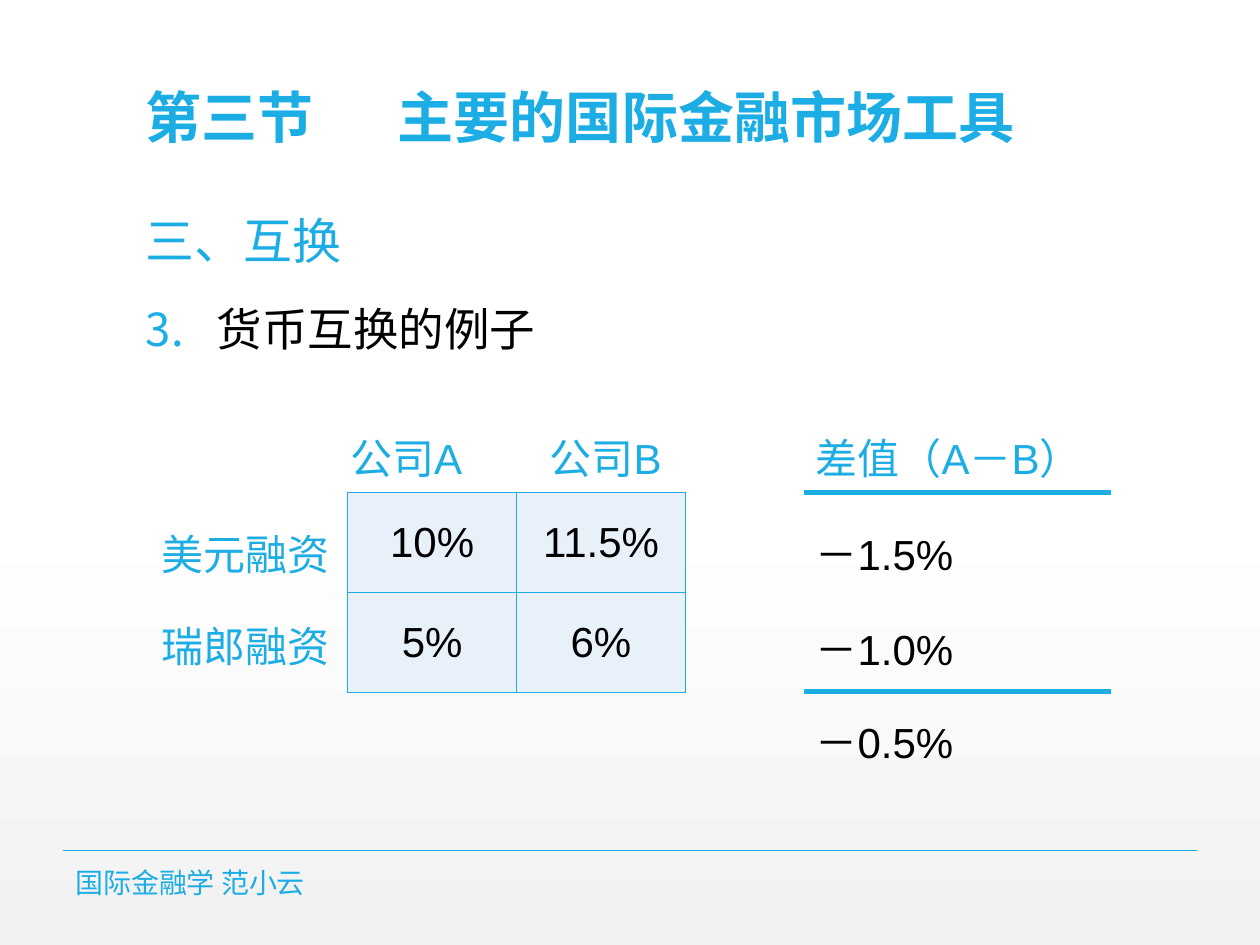
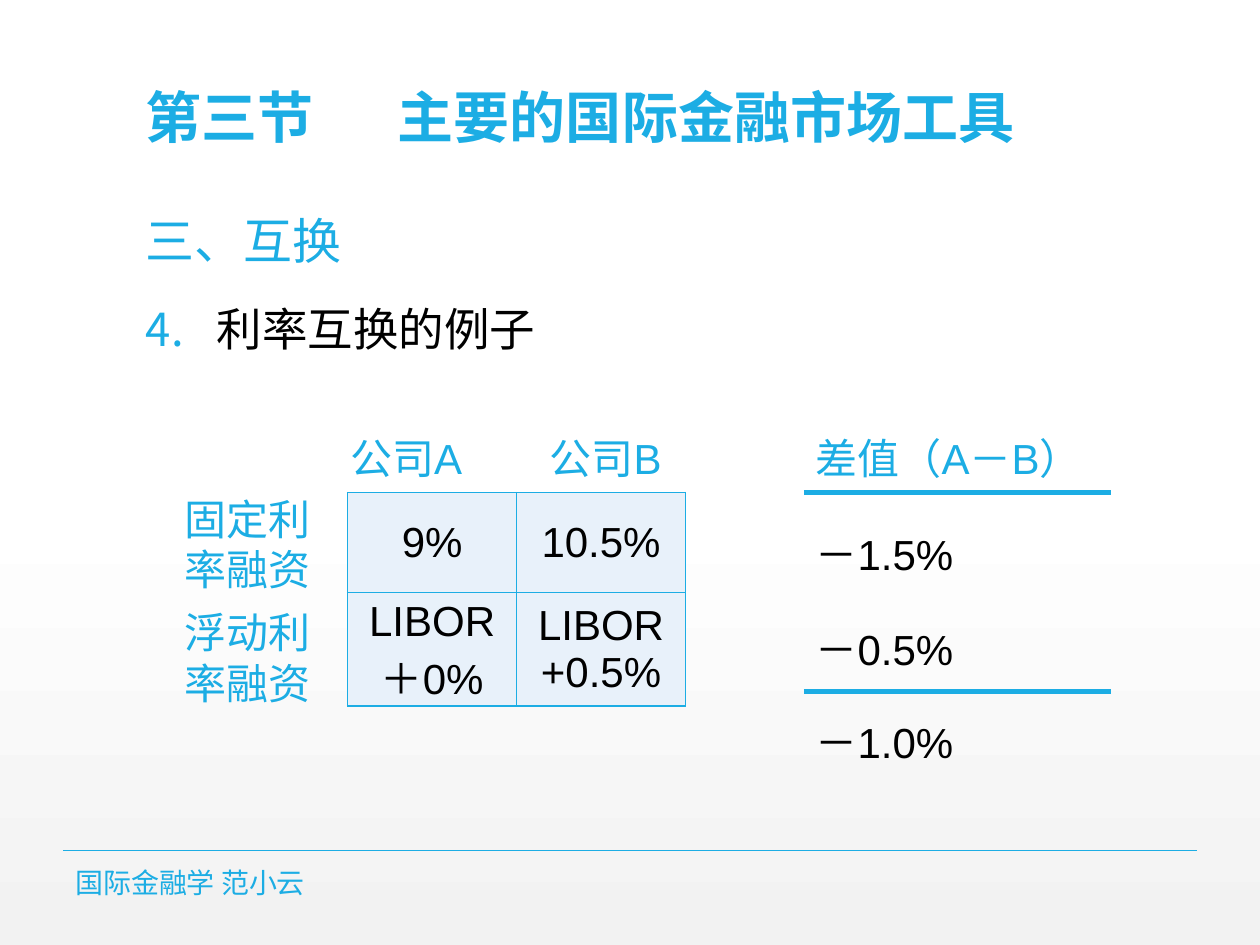
import pptx
import pptx.dml.color
import pptx.enum.shapes
import pptx.enum.text
import pptx.oxml.ns
import pptx.util
from lxml import etree

Pt = pptx.util.Pt
RGBColor = pptx.dml.color.RGBColor
Anchor = pptx.enum.text.MSO_ANCHOR
qn = pptx.oxml.ns.qn

BLUE = RGBColor(0x1C, 0xAD, 0xE4)
BLACK = RGBColor(0, 0, 0)
WHITE = RGBColor(0xFF, 0xFF, 0xFF)
PALE_GRAY = RGBColor(0xF2, 0xF2, 0xF2)
PALE_BLUE = RGBColor(0xE8, 0xF1, 0xFA)
LATIN = "Arial"
CHINESE = "Noto Sans CJK SC"
LINE_FACTOR = 1.2

TITLE = "第三节\t主要的国际金融市场工具"
SECTION = "三、互换"
FOOTER = "国际金融学 范小云"
COMPANIES = "公司A\t公司B"
DIFFERENCE = "差值（A－B）"

TABLE_LEFT, TABLE_TOP = 198.7, 281.5
COLUMN_WIDTH, ROW_HEIGHT = 96.5, 57.2
RULE_LEFT, RULE_RIGHT = 459.4, 635
RULE_TOPS = (281.5, 395.3)
DIFFERENCE_LEFT = 459
DIFFERENCE_TOPS = (296, 350, 403.2)

EXAMPLES = [
    {
        "number": 3,
        "heading": "货币互换的例子",
        "labels": [("美元融资", 85, 296, 119), ("瑞郎融资", 85, 348.5, 119)],
        "rates": [("10%", "11.5%"), ("5%", "6%")],
        "differences": ("－1.5%", "－1.0%", "－0.5%"),
    },
    {
        "number": 4,
        "heading": "利率互换的例子",
        "labels": [("固定利率融资", 98.6, 275.8, 106), ("浮动利率融资", 98.6, 340.6, 106)],
        "rates": [("9%", "10.5%"), ("LIBOR＋0%", "LIBOR+0.5%")],
        "differences": ("－1.5%", "－0.5%", "－1.0%"),
    },
]


def style(para, size, color, latin=LATIN, bold=False, tab=None, number=None):
    """Set bullet, tab stop and both the Latin and the Chinese font of a paragraph."""
    properties = para._p.get_or_add_pPr()
    if number:
        properties.set("marL", str(Pt(40.5)))
        properties.set("indent", str(-Pt(40.5)))
        bullet_color = etree.SubElement(properties, qn("a:buClr"))
        etree.SubElement(bullet_color, qn("a:srgbClr"), val=str(BLUE))
        etree.SubElement(properties, qn("a:buFont"), typeface=CHINESE)
        etree.SubElement(properties, qn("a:buAutoNum"), type="arabicPeriod", startAt=str(number))
    if tab:
        tabs = etree.SubElement(properties, qn("a:tabLst"))
        etree.SubElement(tabs, qn("a:tab"), pos=str(Pt(tab)), algn="l")
    font = para.font
    font.size = Pt(size)
    font.bold = bold
    font.color.rgb = color
    font.name = latin
    etree.SubElement(properties.find(qn("a:defRPr")), qn("a:ea"), typeface=CHINESE)


def add_text(page, text, left, top, width, height, size=24, color=BLUE,
             anchor=Anchor.TOP, **options):
    box = page.shapes.add_textbox(Pt(left), Pt(top), Pt(width), Pt(height))
    frame = box.text_frame
    frame.word_wrap = True
    frame.vertical_anchor = anchor
    if anchor == Anchor.TOP:
        frame.margin_top = Pt(3.6 + 0.11 * size)
    elif anchor == Anchor.MIDDLE:
        frame.margin_top = frame.margin_bottom = 0
    para = frame.paragraphs[0]
    para.text = text
    para.line_spacing = Pt(size * LINE_FACTOR)
    style(para, size, color, **options)
    return frame


deck = pptx.Presentation()
deck.slide_width, deck.slide_height = Pt(720), Pt(540)

for example in EXAMPLES:
    page = deck.slides.add_slide(deck.slide_layouts[6])
    backdrop = page.background.fill
    backdrop.gradient()
    backdrop.gradient_angle = 270
    for stop, position, color in zip(backdrop.gradient_stops, (0.53, 1), (WHITE, PALE_GRAY)):
        stop.position = position
        stop.color.rgb = color

    rules = [(36, 684, 486, 1)]
    rules += [(RULE_LEFT, RULE_RIGHT, top, 3) for top in RULE_TOPS]
    for start, end, top, weight in rules:
        rule = page.shapes.add_connector(
            pptx.enum.shapes.MSO_CONNECTOR.STRAIGHT, Pt(start), Pt(top), Pt(end), Pt(top))
        rule.line.color.rgb = BLUE
        rule.line.width = Pt(weight)
        etree.SubElement(rule._element.spPr, qn("a:effectLst"))

    add_text(page, TITLE, 76.3, 1.4, 567.4, 88, size=32, anchor=Anchor.BOTTOM,
             bold=True, tab=144)
    body = add_text(page, SECTION, 76.3, 113.8, 567.4, 110, size=28, latin=CHINESE)
    heading = body.add_paragraph()
    heading.text = example["heading"]
    heading.space_before = Pt(18)
    heading.line_spacing = Pt(26 * LINE_FACTOR)
    style(heading, 26, BLACK, latin=CHINESE, number=example["number"])
    add_text(page, FOOTER, 36, 494, 362, 20, size=16, anchor=Anchor.MIDDLE, latin=CHINESE)

    rates = page.shapes.add_table(
        2, 2, Pt(TABLE_LEFT), Pt(TABLE_TOP), Pt(2 * COLUMN_WIDTH), Pt(2 * ROW_HEIGHT)).table
    for column in rates.columns:
        column.width = Pt(COLUMN_WIDTH)
    for row, values in enumerate(example["rates"]):
        rates.rows[row].height = Pt(ROW_HEIGHT)
        for column, value in enumerate(values):
            cell = rates.cell(row, column)
            cell.text = value
            cell.vertical_anchor = Anchor.MIDDLE
            para = cell.text_frame.paragraphs[0]
            para.alignment = pptx.enum.text.PP_ALIGN.CENTER
            style(para, 24, BLACK)
            for side in ("a:lnL", "a:lnR", "a:lnT", "a:lnB"):
                border = etree.SubElement(cell._tc.get_or_add_tcPr(), qn(side), w=str(Pt(1)))
                paint = etree.SubElement(border, qn("a:solidFill"))
                etree.SubElement(paint, qn("a:srgbClr"), val=str(BLUE))
            cell.fill.solid()
            cell.fill.fore_color.rgb = PALE_BLUE

    add_text(page, COMPANIES, 193, 241.2, 204, 36, tab=114)
    for label, left, top, width in example["labels"]:
        add_text(page, label, left, top, width, 36 if len(label) == 4 else 65.5)

    add_text(page, DIFFERENCE, DIFFERENCE_LEFT, 241.2, 199, 36)
    for difference, top in zip(example["differences"], DIFFERENCE_TOPS):
        add_text(page, difference, DIFFERENCE_LEFT, top, 199, 36, color=BLACK)

deck.save("out.pptx")
